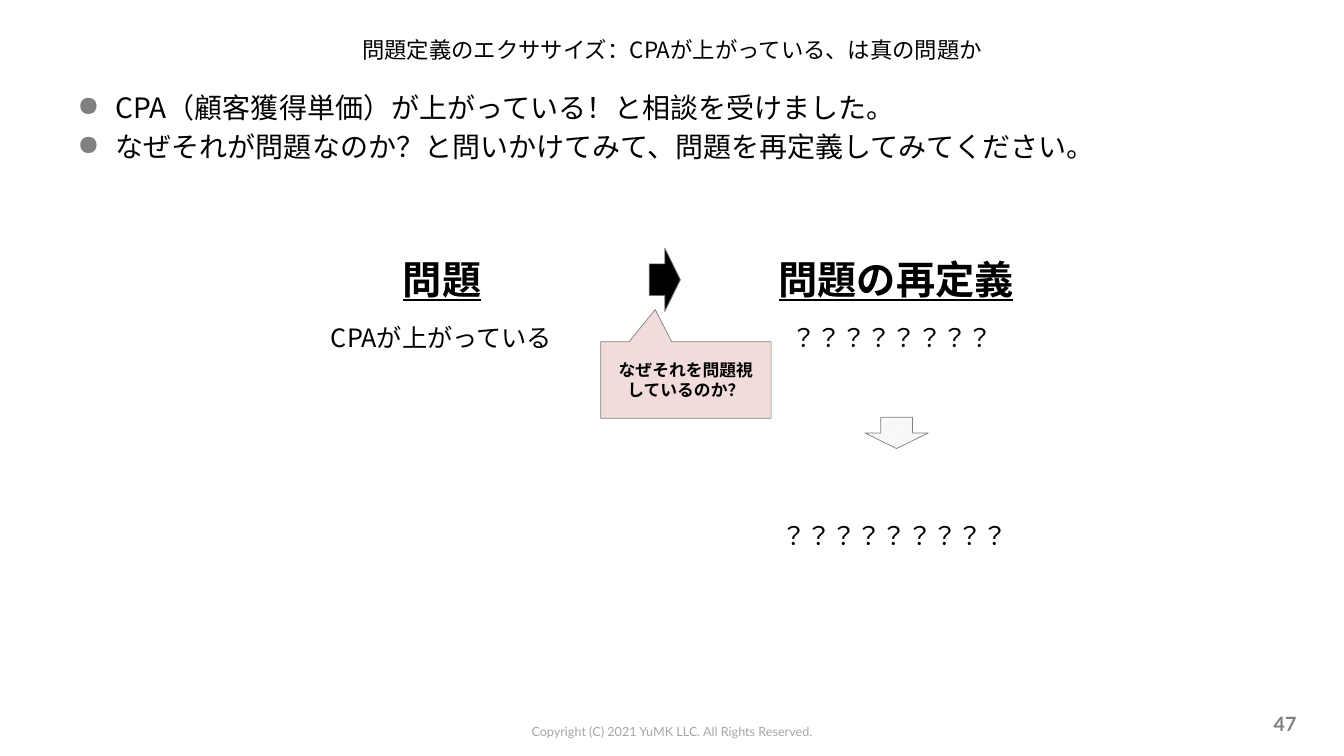
"""Build the problem-definition exercise slide."""
from dataclasses import dataclass

from lxml import etree
from pptx import Presentation
from pptx.dml.color import RGBColor
from pptx.enum.dml import MSO_PATTERN
from pptx.enum.shapes import MSO_SHAPE
from pptx.enum.text import MSO_ANCHOR, PP_ALIGN
from pptx.oxml.ns import qn
from pptx.util import Emu, Pt

PX = 9144
LATO, NOTO = "Lato", "Noto Sans CJK JP"
LEFT, CENTER, RIGHT = PP_ALIGN.LEFT, PP_ALIGN.CENTER, PP_ALIGN.RIGHT
TOP, MIDDLE = MSO_ANCHOR.TOP, MSO_ANCHOR.MIDDLE
DOWN_ARROW, CALLOUT = MSO_SHAPE.DOWN_ARROW, MSO_SHAPE.RECTANGULAR_CALLOUT
HATCH = MSO_PATTERN.LIGHT_UPWARD_DIAGONAL
COLORS = {"black": "000000", "gray": "808080", "footer": "A6A6A6",
          "hatch": "D9D9D9", "white": "FFFFFF", "pink": "F2DCDB"}


@dataclass(frozen=True)
class Style:
    size: int
    align: PP_ALIGN = LEFT
    anchor: MSO_ANCHOR = TOP
    font: str = NOTO
    color: str = "black"
    bold: bool = False
    underline: bool = False
    wrap: bool = True
    bullet: bool = False


@dataclass(frozen=True)
class Label:
    frame: tuple[int, int, int, int]
    text: str
    style: Style


@dataclass(frozen=True)
class Block:
    frame: tuple[int, int, int, int]
    kind: MSO_SHAPE
    fill: str
    rotation: int = 0
    adjustments: tuple[float, ...] = ()
    text: str = ""


HEADING = Style(28, CENTER, bold=True, underline=True, wrap=False)
ANSWER = Style(18)
CALLOUT_STYLE = Style(12, CENTER, MIDDLE, bold=True)

LABELS = [
    Label((420, 713, 493, 25), "Copyright (C) 2021 YuMK LLC. All Rights Reserved.",
          Style(9, CENTER, font=LATO, color="footer")),
    Label((67, 22, 1200, 54), "問題定義のエクササイズ：CPAが上がっている、は真の問題か",
          Style(16, CENTER, MIDDLE)),
    Label((67, 85, 1200, 579),
          "CPA（顧客獲得単価）が上がっている！と相談を受けました。\n"
          "なぜそれが問題なのか？と問いかけてみて、問題を再定義してみてください。",
          Style(20, bullet=True)),
    Label((985, 698, 311, 40), "47",
          Style(14, RIGHT, MIDDLE, LATO, "gray", bold=True)),
    Label((314, 315, 248, 40), "CPAが上がっている", Style(18, CENTER)),
    Label((775, 315, 228, 40), "？？？？？？？？", ANSWER),
    Label((765, 511, 248, 40), "？？？？？？？？？", ANSWER),
    Label((389, 248, 99, 57), "問題", HEADING),
    Label((761, 248, 256, 57), "問題の再定義", HEADING),
]
BLOCKS = [
    Block((628, 262, 63, 31), DOWN_ARROW, "black", rotation=270),
    Block((858, 414, 63, 31), DOWN_ARROW, "hatch"),
    Block((596, 339, 169, 76), CALLOUT, "pink", adjustments=(-0.18, -0.92),
          text="なぜそれを問題視\nしているのか？"),
]


def rgb(name: str) -> RGBColor:
    return RGBColor.from_string(COLORS[name])


def scaled(frame: tuple[int, int, int, int]) -> list[Emu]:
    return [Emu(value * PX) for value in frame]


def add_bullet(para) -> None:
    properties = para._p.get_or_add_pPr()
    properties.set("marL", str(38 * PX))
    properties.set("indent", str(-38 * PX))
    color = etree.SubElement(properties, qn("a:buClr"))
    etree.SubElement(color, qn("a:srgbClr"), val=COLORS["gray"])
    etree.SubElement(properties, qn("a:buChar"), char="●")


def write_text(shape, text: str, style: Style) -> None:
    frame = shape.text_frame
    frame.text = text
    frame.word_wrap = style.wrap
    frame.vertical_anchor = style.anchor
    for index, para in enumerate(frame.paragraphs):
        para.alignment = style.align
        if style.bullet:
            if index:
                para.space_before = Pt(style.size * 0.2)
            add_bullet(para)
        for span in para.runs:
            font = span.font
            font.size = Pt(style.size)
            font.bold = style.bold
            font.underline = style.underline
            font.color.rgb = rgb(style.color)
            font.name = style.font
            etree.SubElement(span._r.get_or_add_rPr(), qn("a:ea"), typeface=style.font)


def add_label(page, label: Label) -> None:
    box = page.shapes.add_textbox(*scaled(label.frame))
    write_text(box, label.text, label.style)


def add_block(page, block: Block) -> None:
    shape = page.shapes.add_shape(block.kind, *scaled(block.frame))
    shape.shadow.inherit = False
    shape.rotation = block.rotation
    for index, value in enumerate(block.adjustments):
        shape.adjustments[index] = value
    if block.fill == "hatch":
        shape.fill.patterned()
        shape.fill.pattern = HATCH
        shape.fill.fore_color.rgb = rgb("hatch")
        shape.fill.back_color.rgb = rgb("white")
    else:
        shape.fill.solid()
        shape.fill.fore_color.rgb = rgb(block.fill)
    shape.line.color.rgb = rgb("gray")
    shape.line.width = Pt(0.5)
    if block.text:
        write_text(shape, block.text, CALLOUT_STYLE)


def main() -> None:
    deck = Presentation()
    deck.slide_width, deck.slide_height = Emu(12192000), Emu(750 * PX)
    page = deck.slides.add_slide(deck.slide_layouts[6])
    for label in LABELS:
        add_label(page, label)
    for block in BLOCKS:
        add_block(page, block)
    deck.save("out.pptx")


if __name__ == "__main__":
    main()
